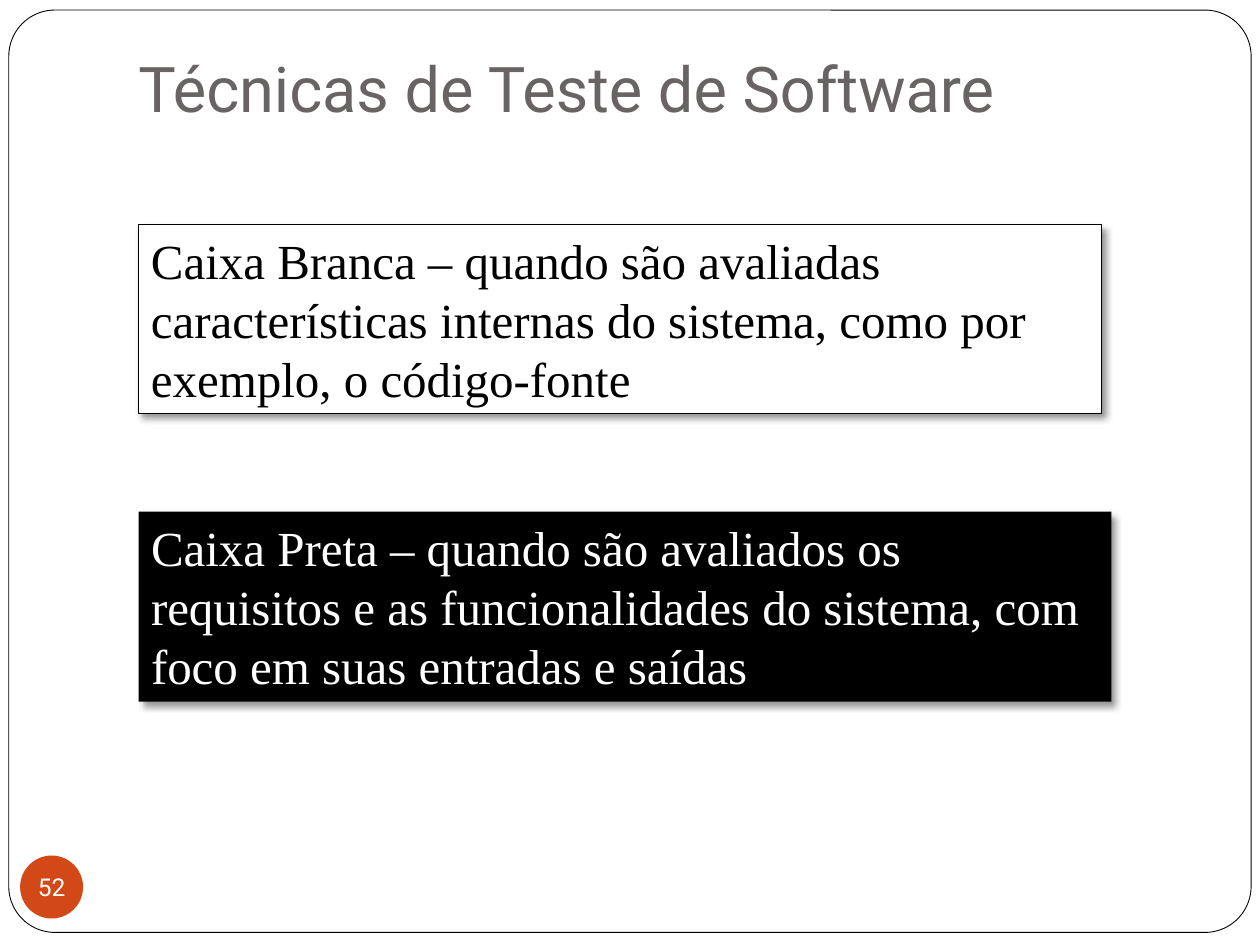
import dataclasses

import lxml.etree
import pptx
import pptx.dml.color
import pptx.enum.shapes
import pptx.enum.text
import pptx.oxml
import pptx.oxml.ns
import pptx.util

Inches = pptx.util.Inches
Shape = pptx.enum.shapes.MSO_SHAPE
Anchor = pptx.enum.text.MSO_ANCHOR
Align = pptx.enum.text.PP_ALIGN


@dataclasses.dataclass(frozen=True)
class Theme:
    black: str = "000000"
    white: str = "FFFFFF"
    gray: str = "696464"
    orange: str = "D34817"
    heading_font: str = "Roboto"
    body_font: str = "Times New Roman"
    title_size: int = 36
    body_size: int = 28
    number_size: int = 14


class SlideBuilder:
    def __init__(self, slide, theme):
        self.slide = slide
        self.theme = theme

    def color(self, value):
        return pptx.dml.color.RGBColor.from_string(value)

    def shape(self, kind, box, fill, line=None, line_width=0):
        shape = self.slide.shapes.add_shape(kind, *map(Inches, box))
        shape.shadow.inherit = False
        shape.fill.solid()
        shape.fill.fore_color.rgb = self.color(fill)
        if line:
            shape.line.color.rgb = self.color(line)
            shape.line.width = pptx.util.Pt(line_width)
        else:
            shape.line.fill.background()
        return shape

    def set_text(self, frame, text, font, size, color, anchor, align=Align.LEFT):
        frame.vertical_anchor = anchor
        paragraph = frame.paragraphs[0]
        paragraph.text = text
        paragraph.alignment = align
        paragraph.font.name = font
        paragraph.font.size = pptx.util.Pt(size)
        paragraph.font.color.rgb = self.color(color)

    def cast_shadow(self, shape):
        qn = pptx.oxml.ns.qn
        effects = shape.element.spPr.find(qn("a:effectLst"))
        shadow = lxml.etree.SubElement(
            effects, qn("a:outerShdw"),
            blurRad=str(pptx.util.Pt(4)), dist=str(pptx.util.Pt(3)),
            dir=str(45 * 60000), algn="tl", rotWithShape="0")
        tint = lxml.etree.SubElement(shadow, qn("a:srgbClr"), val=self.theme.black)
        lxml.etree.SubElement(tint, qn("a:alpha"), val="40000")

    def frame(self):
        border = self.shape(Shape.ROUNDED_RECTANGLE, (0.07, 0.08, 9.86, 7.32),
                            self.theme.white, self.theme.black, 0.5)
        border.adjustments[0] = 0.05

    def title(self, text):
        heading = self.slide.shapes.add_textbox(*map(Inches, (1, 0.3, 8.5, 0.79)))
        heading.text_frame.word_wrap = True
        heading.text_frame.margin_bottom = Inches(0.1)
        self.set_text(heading.text_frame, text, self.theme.heading_font,
                      self.theme.title_size, self.theme.gray, Anchor.BOTTOM)

    def definition(self, text, box, fill, text_color, line=None):
        panel = self.shape(Shape.RECTANGLE, box, fill, line, 0.75)
        self.cast_shadow(panel)
        panel.text_frame.word_wrap = True
        panel.text_frame.auto_size = pptx.enum.text.MSO_AUTO_SIZE.SHAPE_TO_FIT_TEXT
        self.set_text(panel.text_frame, text, self.theme.body_font,
                      self.theme.body_size, text_color, Anchor.TOP)

    def page_number(self, number):
        badge = self.shape(Shape.OVAL, (0.16, 6.79, 0.5, 0.5), self.theme.orange)
        label = badge.text_frame
        label.word_wrap = False
        label.margin_left = label.margin_right = 0
        label.margin_top = label.margin_bottom = 0
        self.set_text(label, number, self.theme.heading_font, self.theme.number_size,
                      self.theme.white, Anchor.MIDDLE, Align.CENTER)


def main():
    deck = pptx.Presentation()
    deck.slide_width = Inches(10)
    deck.slide_height = Inches(7.5)
    theme = Theme()
    builder = SlideBuilder(deck.slides.add_slide(deck.slide_layouts[6]), theme)

    builder.frame()
    builder.title("Técnicas de Teste de Software")
    builder.definition(
        "Caixa Preta – quando são avaliados os requisitos e as funcionalidades "
        "do sistema, com foco em suas entradas e saídas",
        (1.1, 4.06, 7.72, 1.51), theme.black, theme.white)
    builder.definition(
        "Caixa Branca – quando são avaliadas características internas do sistema, "
        "como por exemplo, o código-fonte",
        (1.1, 1.78, 7.64, 1.5), theme.white, theme.black, theme.black)
    builder.page_number("52")

    deck.save("out.pptx")


if __name__ == "__main__":
    main()
